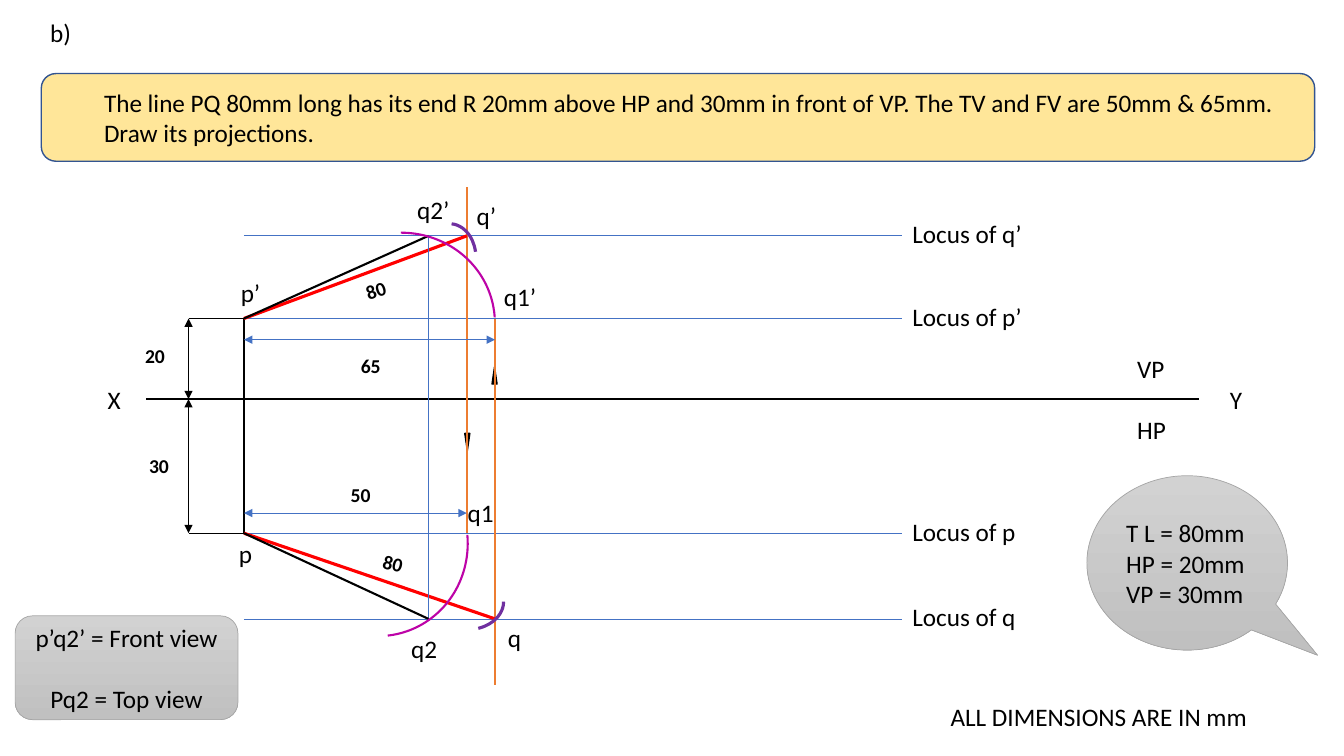
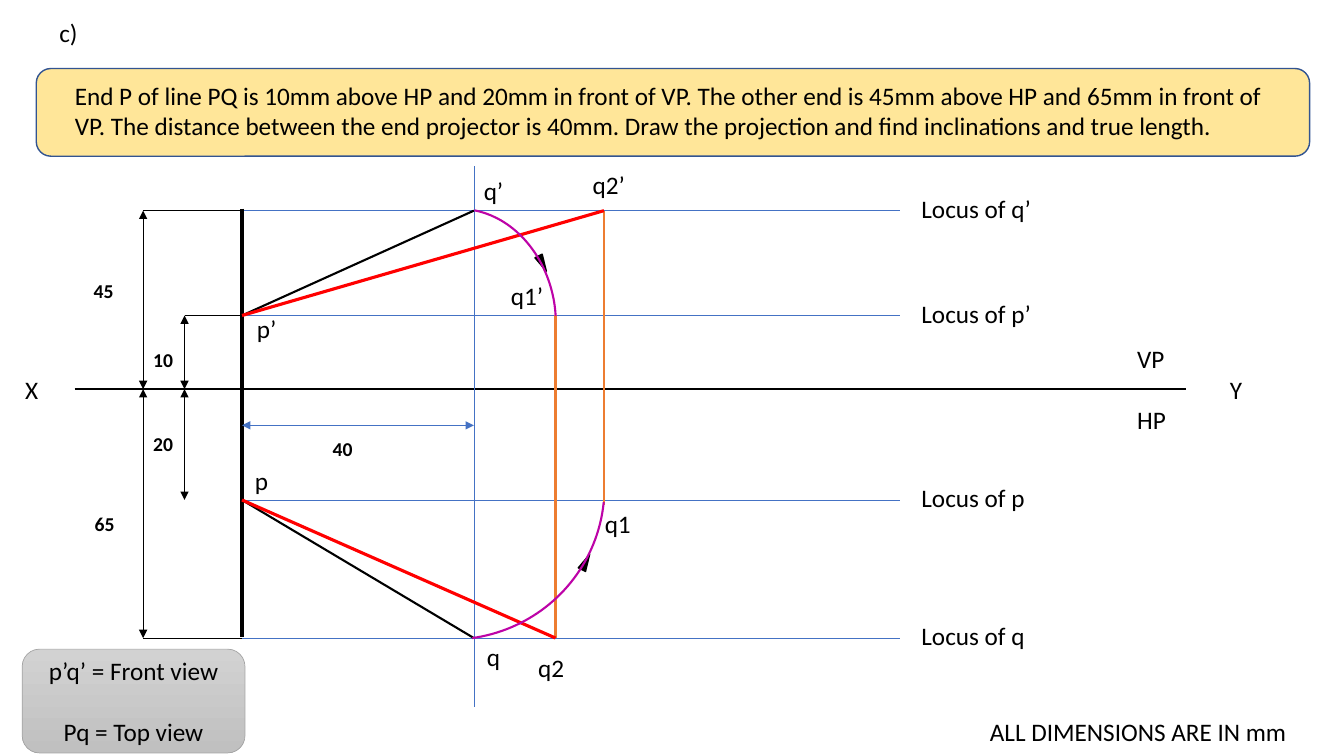
from dataclasses import dataclass
from typing import NamedTuple

from lxml.etree import SubElement
from pptx import Presentation
from pptx.dml.color import RGBColor
from pptx.enum.shapes import MSO_CONNECTOR as Connector, MSO_SHAPE as Shape
from pptx.enum.text import MSO_ANCHOR as Anchor, PP_ALIGN as Align
from pptx.oxml.ns import qn
from pptx.util import Emu, Pt

# Shared look
EMU_PER_PX = 9144
FONT = "Calibri"
BLACK, BLUE = "000000", "4472C4"
BANNER_FILL, BANNER_LINE = "FFE699", "325491"
NOTE_COLORS, NOTE_LINE = ("D2D2D2", "C0C0C0"), "A5A5A5"
BODY_SIZE, DIM_SIZE = 18, 14
BLANK_LINE = 22  # points, the height of one body line
LABEL_H, DIM_H, DIM_W = 40, 34, 41
LOCUS_LENGTH = 653
MARKER_H = 17
# Where a point's name stands, seen from the point
NAME_OFFSETS = {"q’": (0, -40), "q": (3, -2), "q2’": (-21, -46), "q2": (-27, 9)}


class Pen(NamedTuple):
    color: str
    width: float
    arrows: bool = False


OBJECT = Pen(BLACK, 1.5)
EXTENSION = Pen(BLACK, 0.5)
DIMENSION = Pen(BLACK, 0.5, True)
SPAN = Pen(BLUE, 0.5, True)
GUIDE = Pen(BLUE, 0.5)
PROJECTOR = Pen("ED7D31", 1.5)
TRUE_LENGTH = Pen("FF0000", 2.25)
SWING = Pen("BD03A7", 1.5)
CUT = Pen("7030A0", 2.25)


class Box(NamedTuple):
    x: int
    y: int
    w: int
    h: int


class Stroke(NamedTuple):
    """A line between two named points, lengthened upwards or downwards."""
    pen: Pen
    start: str
    end: str
    up: int = 0
    down: int = 0


class Arc(NamedTuple):
    pen: Pen
    box: Box
    turn: float
    start: float = 170
    end: float = 4


class Marker(NamedTuple):
    x: int
    y: int
    turn: float = 0


class Size(NamedTuple):
    text: str
    x: int
    y: int
    turn: float = 0


class Height(NamedTuple):
    """Distance of a point from the reference line."""
    size: Size
    point: str
    x: int
    extended: bool = True


class Span(NamedTuple):
    """Distance between the projectors of p and another point."""
    size: Size
    point: str
    y: int


@dataclass
class Problem:
    letter: str
    letter_x: int
    question: str
    banner_at: tuple[int, int]
    banner_margins: tuple[int, int, int]  # left, top, right
    axis: tuple[int, int]
    axis_y: int
    x_label_x: int
    rows: dict[str, int]
    columns: dict[str, int]
    name_offsets: dict[str, tuple[int, int]]
    locus_label_x: int
    strokes: list[Stroke]
    arcs: list[Arc]
    markers: list[Marker]
    marker_width: int
    heights: list[Height]
    spans: list[Span]
    units_at: tuple[int, int]
    views: tuple[str, str]
    views_at: tuple[int, int]
    lengths: tuple[Size, ...] = ()
    data: tuple[str, ...] = ()

    def points(self) -> dict[str, tuple[int, int]]:
        """p and q1 lie on the loci of p, q and q2 on those of q."""
        placed = {}
        for names, x in self.columns.items():
            for name in names.split():
                locus = "p" if name[0] == "p" or "1" in name else "q"
                placed[name] = x, self.rows[locus + "’" * name.endswith("’")]
        return placed


# Drawing functions
def px(length: float) -> Emu:
    return Emu(round(length * EMU_PER_PX))


def rgb(color: str) -> RGBColor:
    return RGBColor.from_string(color)


def apply_pen(line, pen: Pen) -> None:
    line.color.rgb = rgb(pen.color)
    line.width = Pt(pen.width)


def write(frame, paragraphs, size=BODY_SIZE, bold=False, align=Align.LEFT, gap=0) -> None:
    frame.word_wrap = True
    for index, text in enumerate(paragraphs):
        paragraph = frame.add_paragraph() if index else frame.paragraphs[0]
        paragraph.alignment = align
        if index and gap:
            paragraph.space_before = Pt(gap)
        run = paragraph.add_run()
        run.text = text
        run.font.name, run.font.size, run.font.bold = FONT, Pt(size), bold
        run.font.color.rgb = rgb(BLACK)


def add_text(slide, box: Box, *paragraphs: str, turn: float = 0, **style) -> None:
    text_box = slide.shapes.add_textbox(*map(px, box))
    text_box.rotation = turn
    write(text_box.text_frame, paragraphs, **style)


def add_label(slide, text: str, x: int, y: int, width: int = 63) -> None:
    add_text(slide, Box(x, y, width, LABEL_H), text)


def add_size(slide, size: Size) -> None:
    add_text(slide, Box(size.x, size.y, DIM_W, DIM_H), size.text, turn=size.turn,
             size=DIM_SIZE, bold=True)


def add_line(slide, pen: Pen, *ends: int) -> None:
    connector = slide.shapes.add_connector(Connector.STRAIGHT, *map(px, ends))
    apply_pen(connector.line, pen)
    if pen.arrows:
        outline = connector.line._get_or_add_ln()
        for end in ("a:headEnd", "a:tailEnd"):
            SubElement(outline, qn(end), type="triangle")
    SubElement(connector._element.spPr, qn("a:effectLst"))


def add_figure(slide, kind, box: Box, pen: Pen, fill: str = "", turn: float = 0):
    figure = slide.shapes.add_shape(kind, *map(px, box))
    figure.shadow.inherit = False
    figure.rotation = turn
    apply_pen(figure.line, pen)
    if fill:
        figure.fill.solid()
        figure.fill.fore_color.rgb = rgb(fill)
    else:
        figure.fill.background()
    return figure


def add_note(slide, kind, box: Box, paragraphs, **style):
    note = add_figure(slide, kind, box, Pen(NOTE_LINE, 0.5))
    note.fill.gradient()
    note.fill.gradient_angle = 270
    for stop, color in zip(note.fill.gradient_stops, NOTE_COLORS):
        stop.color.rgb = rgb(color)
    note.text_frame.vertical_anchor = Anchor.MIDDLE
    write(note.text_frame, paragraphs, **style)
    return note


def add_banner(slide, problem: Problem) -> None:
    banner = add_figure(slide, Shape.ROUNDED_RECTANGLE, Box(*problem.banner_at, 1263, 87),
                        Pen(BANNER_LINE, 1), BANNER_FILL)
    frame = banner.text_frame
    frame.vertical_anchor = Anchor.TOP
    frame.margin_left, frame.margin_top, frame.margin_right = map(px, problem.banner_margins)
    write(frame, [problem.question])


def add_axis(slide, problem: Problem) -> None:
    y, (left, right) = problem.axis_y, problem.axis
    add_line(slide, OBJECT, left, y, right, y)
    for text, x in (("X", problem.x_label_x), ("Y", 1210)):
        add_label(slide, text, x, y - 20, 34)
    add_text(slide, Box(1118, y - 50, 54, 101), "VP", "HP", gap=BLANK_LINE)


def add_construction(slide, problem: Problem) -> None:
    points = problem.points()
    p_x = points["p"][0]
    for name, y in problem.rows.items():
        add_line(slide, GUIDE, p_x, y, p_x + LOCUS_LENGTH, y)
        add_label(slide, f"Locus of {name}", problem.locus_label_x, y - 22, 172)
    for x, y, turn in problem.markers:
        add_figure(slide, Shape.ISOSCELES_TRIANGLE,
                   Box(x, y, problem.marker_width, MARKER_H), Pen(BLACK, 1), BLACK, turn)
    for pen, start, end, up, down in problem.strokes:
        (x1, y1), (x2, y2) = points[start], points[end]
        add_line(slide, pen, x1, y1 - up, x2, y2 + down)
    for arc in problem.arcs:
        figure = add_figure(slide, Shape.ARC, arc.box, arc.pen, turn=arc.turn)
        figure.adjustments[0], figure.adjustments[1] = arc.start, arc.end
    for name, (dx, dy) in (NAME_OFFSETS | problem.name_offsets).items():
        x, y = points[name]
        add_label(slide, name, x + dx, y + dy)


def add_dimensions(slide, problem: Problem) -> None:
    points = problem.points()
    p_x = points["p"][0]
    for size, name, x, extended in problem.heights:
        y = points[name][1]
        add_line(slide, DIMENSION, x, problem.axis_y, x, y)
        if extended:
            add_line(slide, EXTENSION, p_x, y, x, y)
        add_size(slide, size)
    for size, name, y in problem.spans:
        add_line(slide, SPAN, p_x, y, points[name][0], y)
        add_size(slide, size)
    for size in problem.lengths:
        add_size(slide, size)


def add_problem(deck, problem: Problem) -> None:
    slide = deck.slides.add_slide(deck.slide_layouts[6])
    add_label(slide, problem.letter, problem.letter_x, 12)
    add_banner(slide, problem)
    add_axis(slide, problem)
    add_construction(slide, problem)
    add_dimensions(slide, problem)
    add_label(slide, "ALL DIMENSIONS ARE IN mm", *problem.units_at, 344)
    if problem.data:
        callout = add_note(slide, Shape.OVAL_CALLOUT, Box(1078, 472, 199, 173), problem.data)
        callout.adjustments[0], callout.adjustments[1] = 0.65, 0.53
    add_note(slide, Shape.ROUNDED_RECTANGLE, Box(*problem.views_at, 221, 103),
             problem.views, align=Align.CENTER, gap=BLANK_LINE)


# Content
PROBLEMS = [
    Problem(
        letter="b)", letter_x=40,
        question="The line PQ 80mm long has its end R 20mm above HP and 30mm in front of VP. "
                 "The TV and FV are 50mm & 65mm. Draw its projections.",
        banner_at=(41, 73), banner_margins=(58, 9, 9),
        axis=(145, 1189), axis_y=396, x_label_x=97,
        rows={"q’": 234, "p’": 316, "p": 529, "q": 614},
        columns={"p p’": 242, "q2 q2’": 425, "q’ q1": 463, "q1’ q": 491},
        name_offsets={"p": (-15, 0), "p’": (-13, -46), "q1": (-9, -41), "q1’": (-1, -42)},
        locus_label_x=895,
        strokes=[
            Stroke(OBJECT, "p’", "p"),
            Stroke(PROJECTOR, "q1’", "q", down=66), Stroke(PROJECTOR, "q’", "q1", up=48),
            Stroke(TRUE_LENGTH, "p", "q"), Stroke(TRUE_LENGTH, "p’", "q’"),
            Stroke(GUIDE, "q2’", "q2"),
            Stroke(OBJECT, "p’", "q2’"), Stroke(OBJECT, "p", "q2"),
        ],
        arcs=[
            *(Arc(CUT, Box(x, y, 52, 67), turn, 164, 208.5)
              for x, y, turn in ((420, 222, 0), (440, 565, 84))),
            Arc(SWING, Box(302, 231, 189, 182), 349, 169),
            Arc(SWING, Box(278, 446, 189, 182), 71, 171, 7),
        ],
        markers=[Marker(488, 364), Marker(461, 430, 180)], marker_width=5,
        heights=[Height(Size("20", 134, 336), "p’", 187),
                 Height(Size("30", 138, 445), "p", 187)],
        spans=[Span(Size("65", 348, 346), "q1’", 337), Span(Size("50", 338, 474), "q1", 509)],
        lengths=(Size("80", 353, 271, 342), Size("80", 370, 542, 14)),
        units_at=(933, 691),
        views=("p’q2’ = Front view", "Pq2 = Top view"), views_at=(15, 611),
        data=("T L = 80mm", "HP = 20mm", "VP = 30mm"),
    ),
    Problem(
        letter="c)", letter_x=49,
        question="End P of line PQ is 10mm above HP and 20mm in front of VP. The other end is "
                 "45mm above HP and 65mm in front of VP. The distance between the end projector "
                 "is 40mm. Draw the projection and find inclinations and true length.",
        banner_at=(36, 68), banner_margins=(34, 7, 20),
        axis=(74, 1176), axis_y=386, x_label_x=15,
        rows={"q’": 209, "p’": 313, "p": 496, "q": 633},
        columns={"p p’": 240, "q q’": 470, "q1’ q2": 551, "q1 q2’": 599},
        name_offsets={"p": (3, -39), "p’": (5, -7), "q1": (-9, 3), "q1’": (-54, -40)},
        locus_label_x=904,
        strokes=[
            Stroke(OBJECT._replace(width=2.25), "p’", "p", 106, 136),
            Stroke(GUIDE, "q’", "q", 44, 68),
            Stroke(OBJECT, "p’", "q’"), Stroke(OBJECT, "p", "q"),
            Stroke(PROJECTOR, "q2’", "q1", down=5), Stroke(PROJECTOR, "q1’", "q2"),
            Stroke(TRUE_LENGTH, "p’", "q2’"), Stroke(TRUE_LENGTH, "p", "q2"),
        ],
        arcs=[Arc(SWING, Box(370, 207, 181, 217), 352),
              Arc(SWING, Box(297, 332, 301, 304), 82, end=0)],
        markers=[Marker(577, 549, 27), Marker(534, 253, 153)], marker_width=8,
        heights=[Height(Size("45", 83, 272), "q’", 142), Height(Size("65", 84, 503), "q", 142),
                 Height(Size("10", 142, 340), "p’", 183),
                 Height(Size("20", 142, 424), "p", 183, extended=False)],
        spans=[Span(Size("40", 320, 429), "q’", 422)],
        units_at=(972, 706),
        views=("p’q’ = Front view", "Pq = Top view"), views_at=(22, 644),
    ),
]


def main() -> None:
    deck = Presentation()
    deck.slide_width, deck.slide_height = px(1333), px(750)
    for problem in PROBLEMS:
        add_problem(deck, problem)
    deck.save("out.pptx")


if __name__ == "__main__":
    main()
